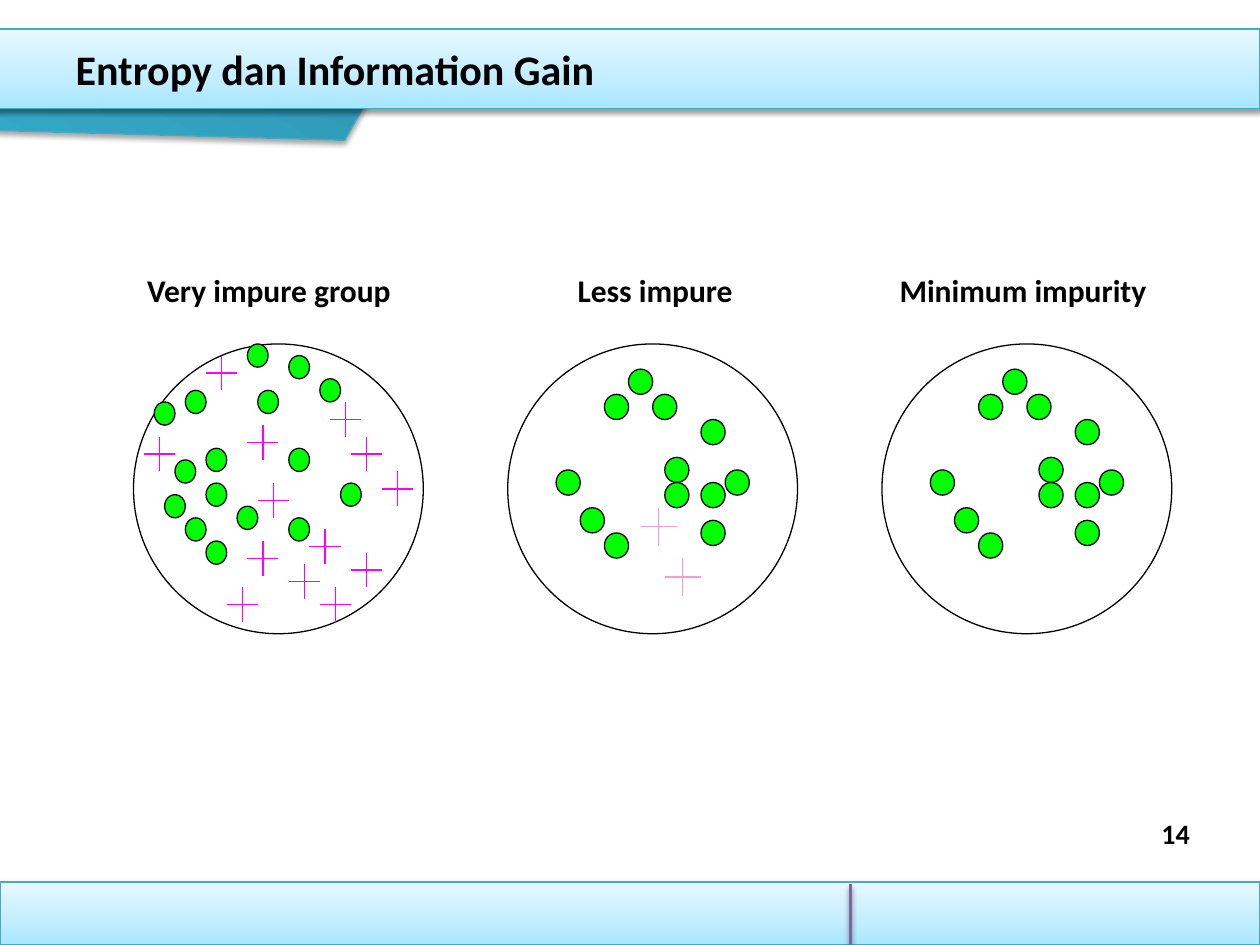
from lxml.etree import SubElement
from pptx import Presentation
from pptx.dml.color import RGBColor
from pptx.enum.shapes import MSO_CONNECTOR as Connector, MSO_SHAPE as Shape
from pptx.enum.text import MSO_ANCHOR as Anchor, PP_ALIGN as Align
from pptx.oxml import parse_xml
from pptx.oxml.ns import nsdecls, qn
from pptx.util import Inches, Pt

BLACK = RGBColor(0x00, 0x00, 0x00)
GREEN = RGBColor(0x00, 0xFF, 0x00)
MAGENTA = RGBColor(0xFF, 0x00, 0xFF)
PINK = RGBColor(0xFF, 0x99, 0xCC)
TEAL = RGBColor(0x46, 0xAA, 0xC5)
PURPLE = RGBColor(0x80, 0x64, 0xA2)
BAR_STOPS = [
    (0, RGBColor(0xA7, 0xE6, 0xFF)),
    (35, RGBColor(0xC1, 0xED, 0xFF)),
    (100, RGBColor(0xE7, 0xF8, 0xFF)),
]
STRIPE_STOPS = [
    (0, RGBColor(0x2A, 0x88, 0xA2)),
    (80, RGBColor(0x37, 0xB1, 0xD2)),
    (100, RGBColor(0x34, 0xB4, 0xD6)),
]

CIRCLE_TOP = 2.73
CIRCLE_SIZE = 2.3
DOT_CELLS = 2
CROSS_CELLS = 3
MIXED_GRID = (28, 25)
PURE_GRID = (24, 23)

MIXED_DOTS = [
    (11, 0), (15, 1), (18, 3), (5, 4), (12, 4), (2, 5), (7, 9), (15, 9),
    (4, 10), (7, 12), (20, 12), (3, 13), (10, 14), (5, 15), (15, 15), (7, 17),
]
MIXED_CROSSES = [
    (7, 1), (19, 5), (11, 7), (1, 8), (21, 8), (24, 11), (12, 12),
    (17, 16), (11, 17), (21, 18), (15, 19), (9, 21), (18, 21),
]
PURE_DOTS = [
    (10, 2), (8, 4), (12, 4), (16, 6), (13, 9), (4, 10),
    (18, 10), (13, 11), (16, 11), (6, 13), (16, 14), (8, 15),
]
FEW_CROSSES = [(11, 13), (13, 17)]


def add_shadow(effects, alpha=38, distance=1.6):
    effects.append(parse_xml(
        f'<a:outerShdw {nsdecls("a")} blurRad="{Pt(3.1)}" dist="{Pt(distance)}" '
        f'dir="5400000" rotWithShape="0"><a:srgbClr val="{BLACK}">'
        f'<a:alpha val="{alpha * 1000}"/></a:srgbClr></a:outerShdw>'
    ))


def set_gradient(shape, stops):
    shape.fill.gradient()
    gradient = shape._element.spPr.find(qn("a:gradFill"))
    stop_list = gradient.find(qn("a:gsLst"))
    for stop in list(stop_list):
        stop_list.remove(stop)
    for position, color in stops:
        stop = SubElement(stop_list, qn("a:gs"), pos=str(position * 1000))
        SubElement(stop, qn("a:srgbClr"), val=str(color))
    shape.fill.gradient_angle = 90


def add_outlined(slide, kind, left, top, width, height, color=BLACK):
    shape = slide.shapes.add_shape(
        kind, Inches(left), Inches(top), Inches(width), Inches(height))
    shape.shadow.inherit = False
    shape.fill.background()
    shape.line.color.rgb = color
    shape.line.width = Pt(0.75)
    return shape


def add_glossy(slide, kind, bounds, stops, **shadow):
    shape = add_outlined(slide, kind, *bounds, color=TEAL)
    set_gradient(shape, stops)
    add_shadow(shape._element.spPr.find(qn("a:effectLst")), **shadow)
    return shape


def add_line(slide, start, end, color, width=0.75):
    line = slide.shapes.add_connector(
        Connector.STRAIGHT, *map(Inches, (*start, *end)))
    line.line.color.rgb = color
    line.line.width = Pt(width)
    return SubElement(line._element.spPr, qn("a:effectLst"))


def add_cross(slide, left, top, width, height, color):
    middle_x, middle_y = left + width / 2, top + height / 2
    add_line(slide, (left, middle_y), (left + width, middle_y), color)
    add_line(slide, (middle_x, top), (middle_x, top + height), color)


def format_text(text_frame, text, size, alignment):
    text_frame.text = text
    text_frame.word_wrap = True
    paragraph = text_frame.paragraphs[0]
    paragraph.alignment = alignment
    paragraph.font.name = "Calibri"
    paragraph.font.size = Pt(size)
    paragraph.font.bold = True
    paragraph.font.color.rgb = BLACK


def add_text(slide, text, bounds, size, alignment):
    box = slide.shapes.add_textbox(*map(Inches, bounds))
    format_text(box.text_frame, text, size, alignment)


def add_group(slide, left, grid, dots, crosses=(), cross_color=MAGENTA):
    cell_width, cell_height = (CIRCLE_SIZE / count for count in grid)

    def bounds(column, row, cells):
        return (left + column * cell_width, CIRCLE_TOP + row * cell_height,
                cells * cell_width, cells * cell_height)

    add_outlined(slide, Shape.OVAL, left, CIRCLE_TOP, CIRCLE_SIZE, CIRCLE_SIZE)
    for column, row in dots:
        dot = add_outlined(slide, Shape.OVAL, *bounds(column, row, DOT_CELLS))
        dot.fill.solid()
        dot.fill.fore_color.rgb = GREEN
    for column, row in crosses:
        add_cross(slide, *bounds(column, row, CROSS_CELLS), cross_color)


def add_decoration(slide):
    add_glossy(slide, Shape.RECTANGLE, (0, 7, 10, 0.5), BAR_STOPS)
    add_shadow(add_line(slide, (6.75, 7.02), (6.75, 7.49), PURPLE, 2))
    stripe = add_glossy(slide, Shape.DIAGONAL_STRIPE, (-1.84, -0.81, 4.61, 2.49),
                        STRIPE_STOPS, alpha=35, distance=1.8)
    stripe.adjustments[0] = 0.72
    stripe.rotation = 210
    add_glossy(slide, Shape.RECTANGLE, (-0.55, 0.23, 10.55, 0.63), BAR_STOPS)


def add_title(slide, text):
    title = slide.shapes.title
    title.left, title.top, title.width, title.height = map(
        Inches, (0.5, -0.08, 9, 1.25))
    title.text_frame.vertical_anchor = Anchor.MIDDLE
    format_text(title.text_frame, text, 24, Align.JUSTIFY)
    title._element.getparent().append(title._element)


def main():
    presentation = Presentation()
    presentation.slide_width = Inches(10)
    presentation.slide_height = Inches(7.5)
    slide = presentation.slides.add_slide(presentation.slide_layouts[5])

    add_decoration(slide)
    add_title(slide, "Entropy dan Information Gain")
    add_text(slide, "14", (9.12, 6.43, 0.76, 0.39), 16, Align.LEFT)

    for text, left, width in [
        ("Very impure group", 1.06, 2.15),
        ("Less impure", 4.45, 1.5),
        ("Minimum impurity", 6.75, 2.74),
    ]:
        add_text(slide, text, (left, 2.1, width, 0.4), 18, Align.CENTER)

    add_group(slide, 1.06, MIXED_GRID, MIXED_DOTS, MIXED_CROSSES)
    add_group(slide, 4.03, PURE_GRID, PURE_DOTS, FEW_CROSSES, PINK)
    add_group(slide, 7, PURE_GRID, PURE_DOTS)

    presentation.save("out.pptx")


if __name__ == "__main__":
    main()
